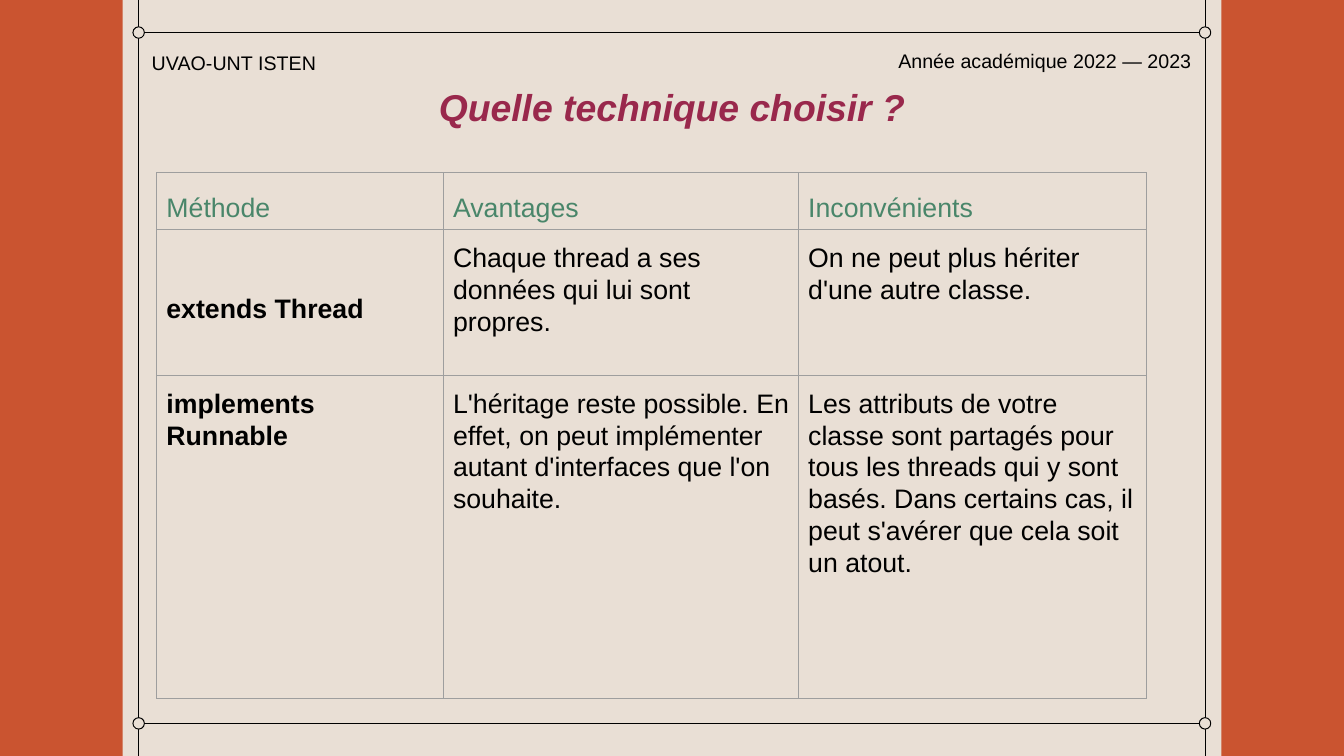
import pptx
import pptx.util
import pptx.dml.color
import pptx.enum.shapes
import pptx.enum.text
import pptx.oxml
import pptx.oxml.ns
from dataclasses import dataclass

Pt = pptx.util.Pt
Align = pptx.enum.text.PP_ALIGN
Anchor = pptx.enum.text.MSO_ANCHOR
Shape = pptx.enum.shapes.MSO_SHAPE
Line = pptx.enum.shapes.MSO_CONNECTOR


@dataclass
class Theme:
    paper: str = "E9DFD5"
    rust: str = "CA5430"
    ink: str = "000000"
    wine: str = "99284C"
    green: str = "49866A"
    grid: str = "9E9E9E"
    font: str = "Arial"
    small: float = 14.7
    body: float = 20
    title: float = 28
    rule: float = 0.75


def color(code):
    return pptx.dml.color.RGBColor.from_string(code)


class Deck:
    def __init__(self, theme, wide, high):
        self.theme = theme
        self.pres = pptx.Presentation()
        self.pres.slide_width = Pt(wide)
        self.pres.slide_height = Pt(high)
        self.slide = self.pres.slides.add_slide(self.pres.slide_layouts[6])
        fill = self.slide.background.fill
        fill.solid()
        fill.fore_color.rgb = color(theme.paper)

    def shape(self, kind, x, y, w, h, fill, line=None):
        item = self.slide.shapes.add_shape(kind, Pt(x), Pt(y), Pt(w), Pt(h))
        item.shadow.inherit = False
        item.fill.solid()
        item.fill.fore_color.rgb = color(fill)
        if line:
            item.line.color.rgb = color(line)
            item.line.width = Pt(self.theme.rule)
        else:
            item.line.fill.background()

    def line(self, x1, y1, x2, y2):
        item = self.slide.shapes.add_connector(
            Line.STRAIGHT, Pt(x1), Pt(y1), Pt(x2), Pt(y2))
        item.line.color.rgb = color(self.theme.ink)
        item.line.width = Pt(self.theme.rule)
        props = item._element.spPr
        props.append(pptx.oxml.parse_xml(
            f'<a:effectLst {pptx.oxml.ns.nsdecls("a")}/>'))

    def style(self, para, size, tint, bold=False, slant=False):
        for run in para.runs:
            font = run.font
            font.name = self.theme.font
            font.size = Pt(size)
            font.bold = bold
            font.italic = slant
            font.color.rgb = color(tint)

    def text(self, words, x, y, w, h, size, tint, align=Align.LEFT,
             anchor=Anchor.TOP, inset=(8.64, 8.64), strong=False):
        box = self.slide.shapes.add_textbox(Pt(x), Pt(y), Pt(w), Pt(h))
        frame = box.text_frame
        frame.word_wrap = True
        frame.vertical_anchor = anchor
        frame.margin_left = frame.margin_right = Pt(inset[0])
        frame.margin_top = frame.margin_bottom = Pt(inset[1])
        frame.text = words
        para = frame.paragraphs[0]
        para.alignment = align
        self.style(para, size, tint, strong, strong)

    def border(self, cell):
        props = cell._tc.get_or_add_tcPr()
        for side in ("lnL", "lnR", "lnT", "lnB"):
            props.append(pptx.oxml.parse_xml(
                f'<a:{side} {pptx.oxml.ns.nsdecls("a")} w="{Pt(self.theme.rule)}">'
                f'<a:solidFill><a:srgbClr val="{self.theme.grid}"/></a:solidFill>'
                f'</a:{side}>'))

    def cell(self, cell, words, tint, bold, anchor):
        self.border(cell)
        cell.fill.background()
        cell.vertical_anchor = anchor
        cell.margin_left, cell.margin_right = Pt(7.2), Pt(5)
        cell.margin_top, cell.margin_bottom = Pt(8.64), Pt(0)
        cell.text = words
        para = cell.text_frame.paragraphs[0]
        para.line_spacing = 1.07
        para.space_after = Pt(8)
        self.style(para, self.theme.body, tint, bold)

    def table(self, rows, x, y, wides, highs):
        grid = self.slide.shapes.add_table(
            len(highs), len(wides), Pt(x), Pt(y),
            Pt(sum(wides)), Pt(sum(highs))).table
        grid.first_row = grid.horz_banding = False
        for col, wide in zip(grid.columns, wides):
            col.width = Pt(wide)
        for row, high in zip(grid.rows, highs):
            row.height = Pt(high)
        for r, row in enumerate(rows):
            for c, words in enumerate(row):
                head = r == 0
                tint = self.theme.green if head else self.theme.ink
                mid = head or (r, c) == (1, 0)
                self.cell(grid.cell(r, c), words, tint, not head and c == 0,
                          Anchor.MIDDLE if mid else Anchor.TOP)


def main():
    theme = Theme()
    wide, high = 1008, 566.64
    deck = Deck(theme, wide, high)

    band = 92
    for x in (0, wide - band):
        deck.shape(Shape.RECTANGLE, x, 0, band, high, theme.rust)

    left, right, top, low = 104, 903.8, 24.4, 542.2
    ring = 8.6
    half = ring / 2
    for x in (left, right):
        for y1, y2 in ((0, top - half), (top + half, low - half),
                       (low + half, high)):
            deck.line(x, y1, x, y2)
    for y in (top, low):
        deck.line(left + half, y, right - half, y)
        for x in (left, right):
            deck.shape(Shape.OVAL, x - half, y - half, ring, ring,
                       theme.paper, theme.ink)

    deck.text("UVAO-UNT ISTEN", 105.1, 29.5, 178, 31, theme.small, theme.ink)
    deck.text("Année académique 2022 — 2023", 647.3, 28, 255, 31,
              theme.small, theme.ink, Align.RIGHT)
    deck.text("Quelle technique choisir ?", 133.2, 59.2, 741.6, 41,
              theme.title, theme.wine, Align.CENTER, Anchor.MIDDLE,
              (7.2, 3.6), True)

    rows = [
        ("Méthode", "Avantages", "Inconvénients"),
        ("extends Thread",
         "Chaque thread a ses données qui lui sont propres.",
         "On ne peut plus hériter d'une autre classe."),
        ("implements Runnable",
         "L'héritage reste possible. En effet, on peut implémenter "
         "autant d'interfaces que l'on souhaite.",
         "Les attributs de votre classe sont partagés pour tous les threads "
         "qui y sont basés. Dans certains cas, il peut s'avérer que cela "
         "soit un atout."),
    ]
    deck.table(rows, 117.6, 129.6, (215, 266.4, 260.6), (42.5, 109.4, 242))
    deck.pres.save("out.pptx")


if __name__ == "__main__":
    main()
